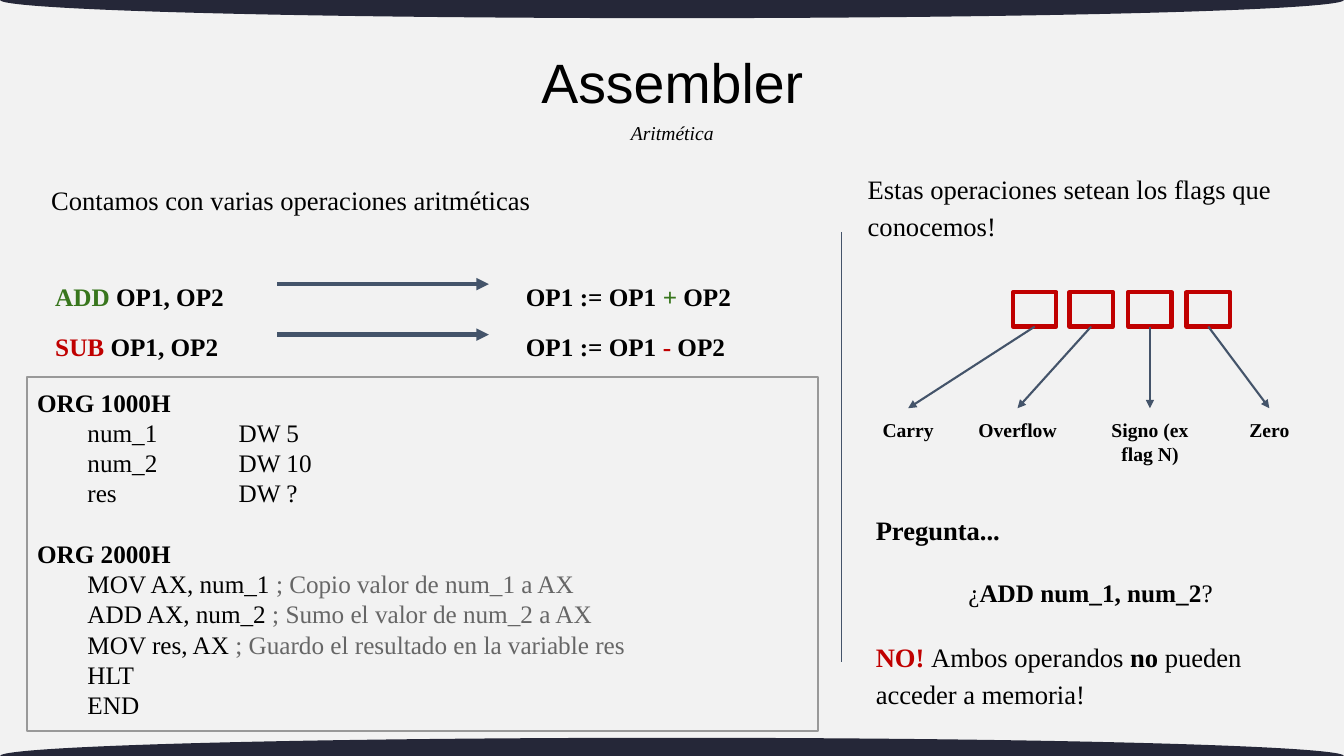
"""Build the slide on arithmetic operations in assembler."""
import dataclasses

import lxml.etree
import pptx
import pptx.dml.color
import pptx.enum.shapes
import pptx.enum.text
import pptx.oxml.ns
import pptx.util

Pt = pptx.util.Pt
Align = pptx.enum.text.PP_ALIGN
Shape = pptx.enum.shapes.MSO_SHAPE


@dataclasses.dataclass(frozen=True)
class Theme:
    ground: str = "F2F2F2"
    band: str = "252738"
    ink: str = "000000"
    note: str = "666666"
    frame: str = "999999"
    steel: str = "44546A"
    red: str = "C00000"
    green: str = "38761D"
    serif: str = "Times New Roman"
    sans: str = "Arial"
    title: float = 39.6
    lead: float = 19
    code: float = 18
    label: float = 14


THEME = Theme()


def tint(code):
    return pptx.dml.color.RGBColor.from_string(code)


def run(text, color=THEME.ink, bold=False):
    return text, color, bold


def box(slide, area, lines, size, font=THEME.serif, align=Align.LEFT,
        lead=1.0, inset=7.2, italic=False, middle=False):
    frame = slide.shapes.add_textbox(*map(Pt, area)).text_frame
    frame.word_wrap = True
    frame.margin_left = frame.margin_right = Pt(7.2)
    frame.margin_top = frame.margin_bottom = Pt(inset)
    if middle:
        frame.vertical_anchor = pptx.enum.text.MSO_ANCHOR.MIDDLE
    for index, runs in enumerate(lines):
        para = frame.paragraphs[0] if index == 0 else frame.add_paragraph()
        para.alignment = align
        para.line_spacing = lead
        for text, color, bold in runs:
            part = para.add_run()
            part.text = text
            part.font.name = font
            part.font.size = Pt(size)
            part.font.bold = bold
            part.font.italic = italic
            part.font.color.rgb = tint(color)
    return frame


def code(slide, area, head, body):
    lines = [[run(head, bold=True)], *body]
    frame = box(slide, area, lines, THEME.code)
    for para in frame.paragraphs[1:]:
        props = para._p.get_or_add_pPr()
        props.set("marL", "0")
        props.set("indent", str(Pt(36)))


def plate(slide, kind, area, fill=None, line=None, width=0):
    shape = slide.shapes.add_shape(kind, *map(Pt, area))
    shape.shadow.inherit = False
    if fill:
        shape.fill.solid()
        shape.fill.fore_color.rgb = tint(fill)
    else:
        shape.fill.background()
    if line:
        shape.line.color.rgb = tint(line)
        shape.line.width = Pt(width)
    else:
        shape.line.fill.background()


def link(slide, start, end, width, arrow=True):
    kind = pptx.enum.shapes.MSO_CONNECTOR.STRAIGHT
    line = slide.shapes.add_connector(kind, *map(Pt, (*start, *end)))
    line.line.color.rgb = tint(THEME.steel)
    line.line.width = Pt(width)
    props = line._element.spPr
    name = pptx.oxml.ns.qn
    if arrow:
        stroke = props.find(name("a:ln"))
        lxml.etree.SubElement(stroke, name("a:tailEnd"), type="triangle")
    lxml.etree.SubElement(props, name("a:effectLst"))


def rule(slide, top, verb, sign, color):
    left = [run(verb + " ", color, True), run("OP1, OP2", bold=True)]
    right = [run("OP1 := OP1 ", bold=True), run(sign, color, True),
             run(" OP2", bold=True)]
    box(slide, (32.4, top, 160.6, 41), [left], THEME.code, lead=1.5)
    link(slide, (198, top + 20.1), (349.2, top + 20.1), 3)
    box(slide, (368.6, top, 193, 41), [right], THEME.code, lead=1.5)


def flag(slide, text, left, tip, width, height=28.8):
    plate(slide, Shape.RECTANGLE, (left, 208.8, 31, 24.5),
          line=THEME.red, width=3)
    link(slide, (left + 15.5, 233.3), (tip, 291.6), 1.5)
    box(slide, (tip - width / 2, 291.6, width, height),
        [[run(text, bold=True)]], THEME.label, align=Align.CENTER)


def main():
    deck = pptx.Presentation()
    deck.slide_width, deck.slide_height = Pt(960), Pt(540)
    slide = deck.slides.add_slide(deck.slide_layouts[6])
    slide.background.fill.solid()
    slide.background.fill.fore_color.rgb = tint(THEME.ground)

    for edge in (0, 540):
        plate(slide, Shape.OVAL, (0, edge - 13, 960, 26), fill=THEME.band)
    box(slide, (252.7, 27.4, 455, 67.7), [[run("Assembler")]], THEME.title,
        font=THEME.sans, align=Align.CENTER, lead=0.9, inset=3.6, middle=True)
    box(slide, (316.8, 82.8, 326.9, 24.5), [[run("Aritmética")]], THEME.label,
        align=Align.CENTER, inset=3.6, italic=True)

    box(slide, (29.5, 113, 455, 46),
        [[run("Contamos con varias operaciones aritméticas")]],
        THEME.lead, lead=1.5)
    rule(slide, 182.9, "ADD", "+", THEME.green)
    rule(slide, 218.9, "SUB", "-", THEME.red)

    plate(slide, Shape.RECTANGLE, (19.4, 269.3, 565.2, 252.7),
          line=THEME.frame, width=1.5)
    code(slide, (19.4, 269.3, 565.2, 108), "ORG 1000H", [
        [run("num_1\t\tDW 5")],
        [run("num_2\t\tDW 10")],
        [run("res\t\t\tDW ?")],
    ])
    code(slide, (19.4, 377.3, 565.2, 144.7), "ORG 2000H", [
        [run("MOV AX, num_1 "), run("; Copio valor de num_1 a AX", THEME.note)],
        [run("ADD AX, num_2"),
         run(" ; Sumo el valor de num_2 a AX", THEME.note)],
        [run("MOV res, AX "),
         run("; Guardo el resultado en la variable res", THEME.note)],
        [run("HLT")],
        [run("END")],
    ])

    link(slide, (601.2, 165.6), (601.2, 473), 0.75, arrow=False)
    box(slide, (612.7, 113, 332.6, 67.7),
        [[run("Estas operaciones setean los flags que conocemos!")]],
        THEME.lead, lead=1.15)
    flag(slide, "Carry", 723.6, 648.7, 60.5)
    flag(slide, "Overflow", 763.9, 726.8, 87.1)
    flag(slide, "Signo (ex flag N)", 805.9, 821.4, 87.1, 46)
    flag(slide, "Zero", 847.6, 906.7, 87.1)

    box(slide, (618.5, 348.5, 326.9, 46), [[run("Pregunta...", bold=True)]],
        THEME.lead, lead=1.5)
    box(slide, (653, 394.6, 252, 41),
        [[run("¿"), run("ADD num_1, num_2", bold=True), run("?")]],
        THEME.code, align=Align.CENTER, lead=1.5)
    box(slide, (618.5, 447.1, 332.6, 67.7),
        [[run("NO! ", THEME.red, True), run("Ambos operandos "),
          run("no", bold=True), run(" pueden acceder a memoria!")]],
        THEME.lead, lead=1.15)
    deck.save("out.pptx")


if __name__ == "__main__":
    main()
